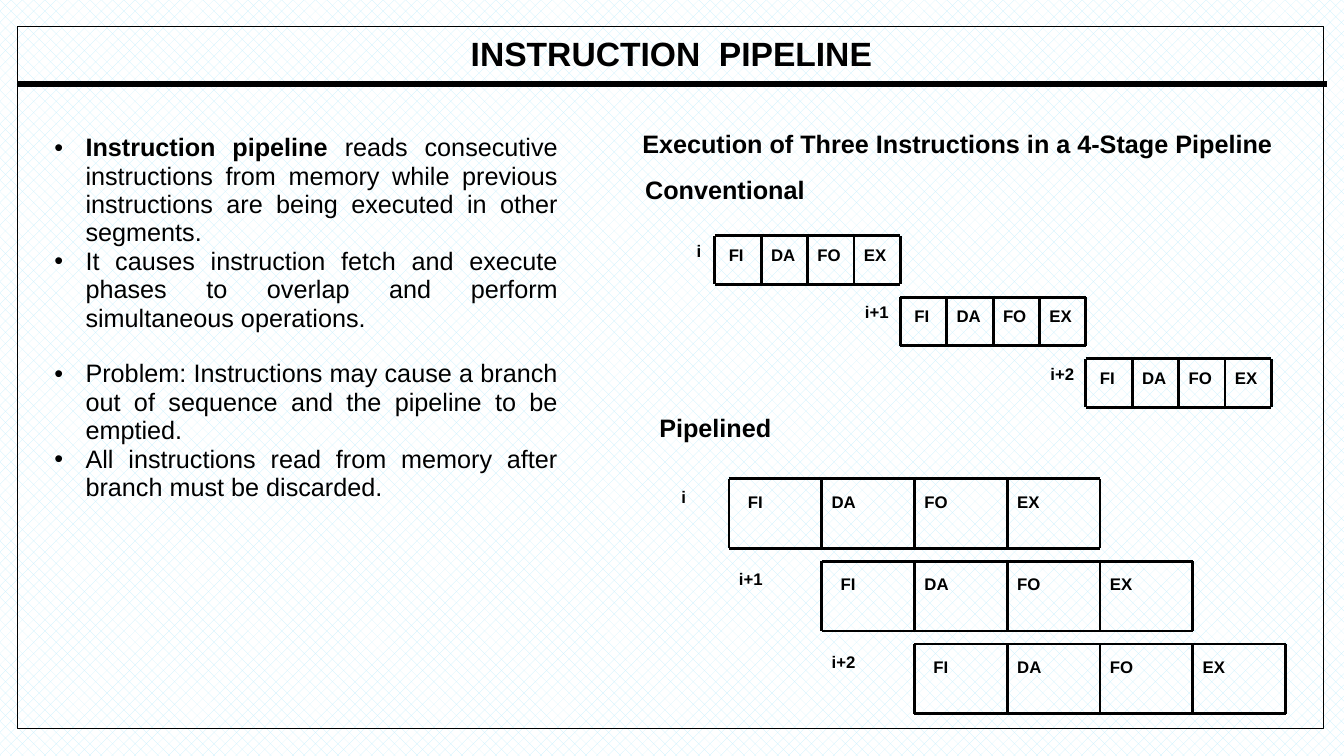
"""Build the instruction pipeline slide."""
import dataclasses

import lxml.etree
import pptx
import pptx.dml.color
import pptx.enum.dml
import pptx.enum.shapes
import pptx.enum.text
import pptx.oxml.ns
import pptx.util

EMU_PER_PX = 9144
ALIGN = pptx.enum.text.PP_ALIGN
STAGES = ("FI", "DA", "FO", "EX")
BULLETS = (
    ("Instruction pipeline ", "reads consecutive instructions from memory while previous "
     "instructions are being executed in other segments.", 0),
    ("", "It causes instruction fetch and execute phases to overlap and perform "
     "simultaneous operations.", 0),
    ("", "Problem: Instructions may cause a branch out of sequence and the pipeline "
     "to be emptied.", 19.5),
    ("", "All instructions read from memory after branch must be discarded.", 0),
)


@dataclasses.dataclass(frozen=True)
class Theme:
    """Hold the colours, font, type sizes and line widths."""
    ink: str = "000000"
    hatch: str = "C4EFFE"
    paper: str = "FFFFFF"
    font: str = "Arial"
    title: int = 24
    body: int = 18
    label: int = 12
    rule: float = 4.5
    frame: float = 0.5
    grid: float = 2
    spacing: float = 0.9
    body_spacing: float = 0.94


@dataclasses.dataclass(frozen=True)
class Diagram:
    """Describe one staircase of stage rows, in px."""
    left: int
    top: int
    cell: int
    height: int
    step: tuple
    label_offsets: tuple
    label_drop: int
    stage_drop: int
    first_indent: int


THEME = Theme()
CONVENTIONAL = Diagram(709, 234, 46, 48, (184, 61), (28, 45, 45), 2, 6, 4)
PIPELINED = Diagram(723, 475, 92, 69, (92, 82), (57, 92, 92), 5, 10, 9)


def px(*lengths):
    """Turn px lengths into EMU."""
    return [pptx.util.Emu(length * EMU_PER_PX) for length in lengths]


def colour(value):
    """Return a colour object for a hex value."""
    return pptx.dml.color.RGBColor.from_string(value)


def apply(target, values):
    """Set every attribute of a format dict."""
    for name, value in values.items():
        setattr(target, name, value)


def add_span(para, text, size, bold=True):
    """Append a formatted run to a paragraph."""
    span = para.add_run()
    span.text = text
    apply(span.font, {"name": THEME.font, "size": pptx.util.Pt(size), "bold": bold})
    span.font.color.rgb = colour(THEME.ink)


def add_box(shapes, left, top, width, height, inset=(10, 5), wrap=False):
    """Add an empty text box and return its frame."""
    frame = shapes.add_textbox(*px(left, top, width, height)).text_frame
    across, down = px(*inset)
    apply(frame, {
        "margin_left": across, "margin_right": across,
        "margin_top": down, "margin_bottom": down, "word_wrap": wrap,
        "auto_size": pptx.enum.text.MSO_AUTO_SIZE.SHAPE_TO_FIT_TEXT,
    })
    return frame


def add_label(shapes, text, bounds, size, inset=(10, 5), wrap=False, align=ALIGN.LEFT):
    """Add one bold line of text."""
    para = add_box(shapes, *bounds, inset, wrap).paragraphs[0]
    apply(para, {"alignment": align, "line_spacing": THEME.spacing})
    add_span(para, text, size)


def add_line(shapes, start, end, width):
    """Add a straight black line without a shadow."""
    line = shapes.add_connector(
        pptx.enum.shapes.MSO_CONNECTOR.STRAIGHT, *px(*start, *end))
    line.line.width = pptx.util.Pt(width)
    line.line.color.rgb = colour(THEME.ink)
    lxml.etree.SubElement(line.element.spPr, pptx.oxml.ns.qn("a:effectLst"))


def add_frame(page):
    """Add the patterned background, page outline and title rule."""
    fill = page.background.fill
    fill.patterned()
    fill.pattern = pptx.enum.dml.MSO_PATTERN.PERCENT_25
    fill.fore_color.rgb = colour(THEME.hatch)
    fill.back_color.rgb = colour(THEME.paper)
    add_line(page.shapes, (17, 83), (1316, 83), THEME.rule)
    outline = page.shapes.add_shape(
        pptx.enum.shapes.MSO_SHAPE.RECTANGLE, *px(17, 26, 1296, 697))
    outline.shadow.inherit = False
    outline.fill.background()
    outline.line.width = pptx.util.Pt(THEME.frame)
    outline.line.color.rgb = colour(THEME.ink)


def add_bullets(page):
    """Add the justified bullet list."""
    frame = add_box(page.shapes, 44, 128, 519, 365, wrap=True)
    for index, (lead, text, gap) in enumerate(BULLETS):
        para = frame.add_paragraph() if index else frame.paragraphs[0]
        apply(para, {"alignment": ALIGN.JUSTIFY, "line_spacing": THEME.body_spacing,
                     "space_before": pptx.util.Pt(gap)})
        properties = para._p.get_or_add_pPr()
        indent = px(31)[0]
        for name, value in {"marL": indent, "indent": -indent}.items():
            properties.set(name, str(value))
        for tag, name, value in (("a:buFont", "typeface", THEME.font),
                                 ("a:buChar", "char", "•")):
            lxml.etree.SubElement(properties, pptx.oxml.ns.qn(tag)).set(name, value)
        if lead:
            add_span(para, lead, THEME.body)
        add_span(para, text, THEME.body, bold=False)


def add_row(shapes, diagram, index, name):
    """Add one instruction with its four stage cells."""
    left = diagram.left + index * diagram.step[0]
    top = diagram.top + index * diagram.step[1]
    right, bottom = left + len(STAGES) * diagram.cell, top + diagram.height
    offset = diagram.label_offsets[index]
    add_label(shapes, name, (left - offset, top + diagram.label_drop, offset, 47),
              THEME.label)
    for edge in (top, bottom):
        add_line(shapes, (left, edge), (right, edge), THEME.grid)
    for edge in range(left, right + 1, diagram.cell):
        add_line(shapes, (edge, top), (edge, bottom), THEME.grid)
    for column, stage in enumerate(STAGES):
        indent = 0 if column else diagram.first_indent
        add_label(shapes, stage, (left + column * diagram.cell + indent,
                                  top + diagram.stage_drop, diagram.cell, 47), THEME.label)


def add_diagram(page, diagram):
    """Add a grouped staircase of three instructions."""
    group = page.shapes.add_group_shape()
    for index, name in enumerate(("i", "i+1", "i+2")):
        add_row(group.shapes, diagram, index, name)


def main():
    """Build and save the deck."""
    deck = pptx.Presentation()
    deck.slide_width, deck.slide_height = px(1333, 750)
    page = deck.slides.add_slide(deck.slide_layouts[6])
    add_frame(page)
    add_label(page.shapes, "INSTRUCTION  PIPELINE", (284, 34, 764, 42), THEME.title,
              (7, 3), True, ALIGN.CENTER)
    add_label(page.shapes, "Execution of Three Instructions in a 4-Stage Pipeline",
              (630, 128, 652, 60), THEME.body, (7, 3))
    add_label(page.shapes, "Conventional", (630, 171, 178, 37), THEME.body)
    add_diagram(page, CONVENTIONAL)
    add_label(page.shapes, "Pipelined", (644, 408, 131, 37), THEME.body)
    add_diagram(page, PIPELINED)
    add_bullets(page)
    deck.save("out.pptx")


if __name__ == "__main__":
    main()
